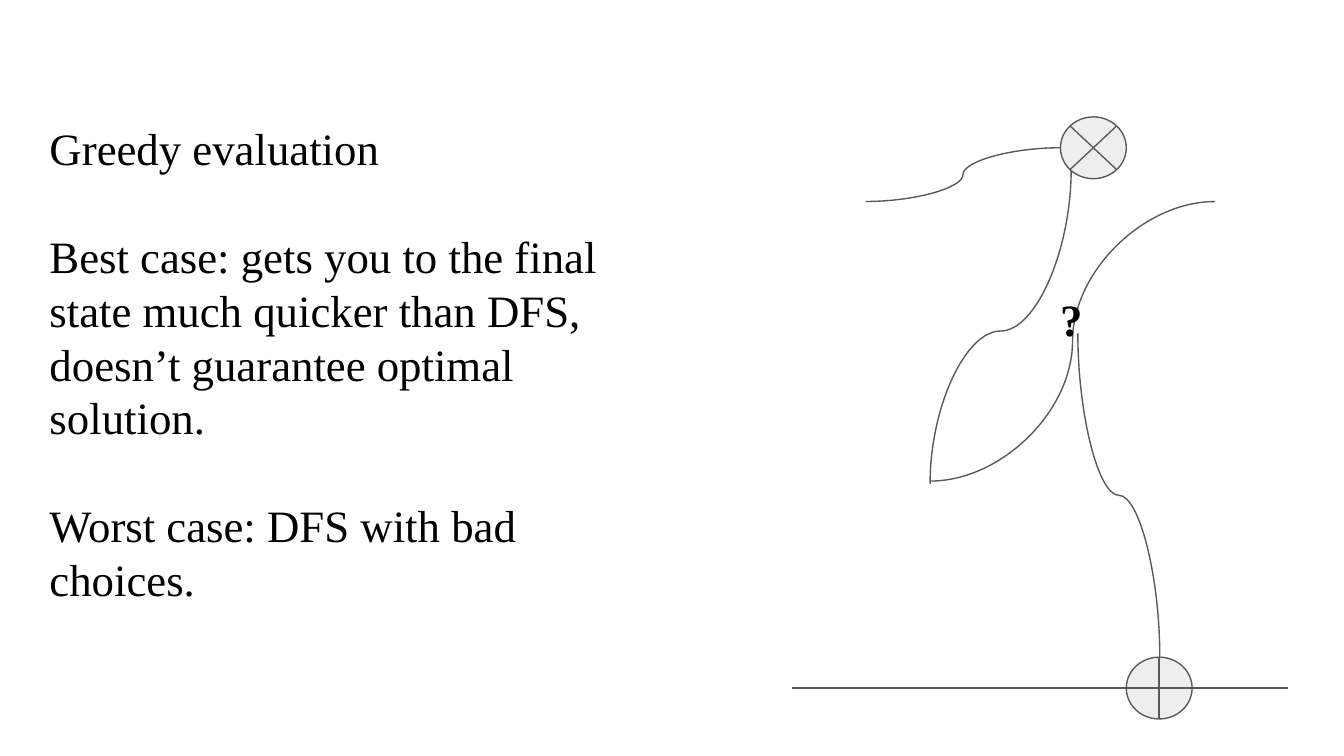
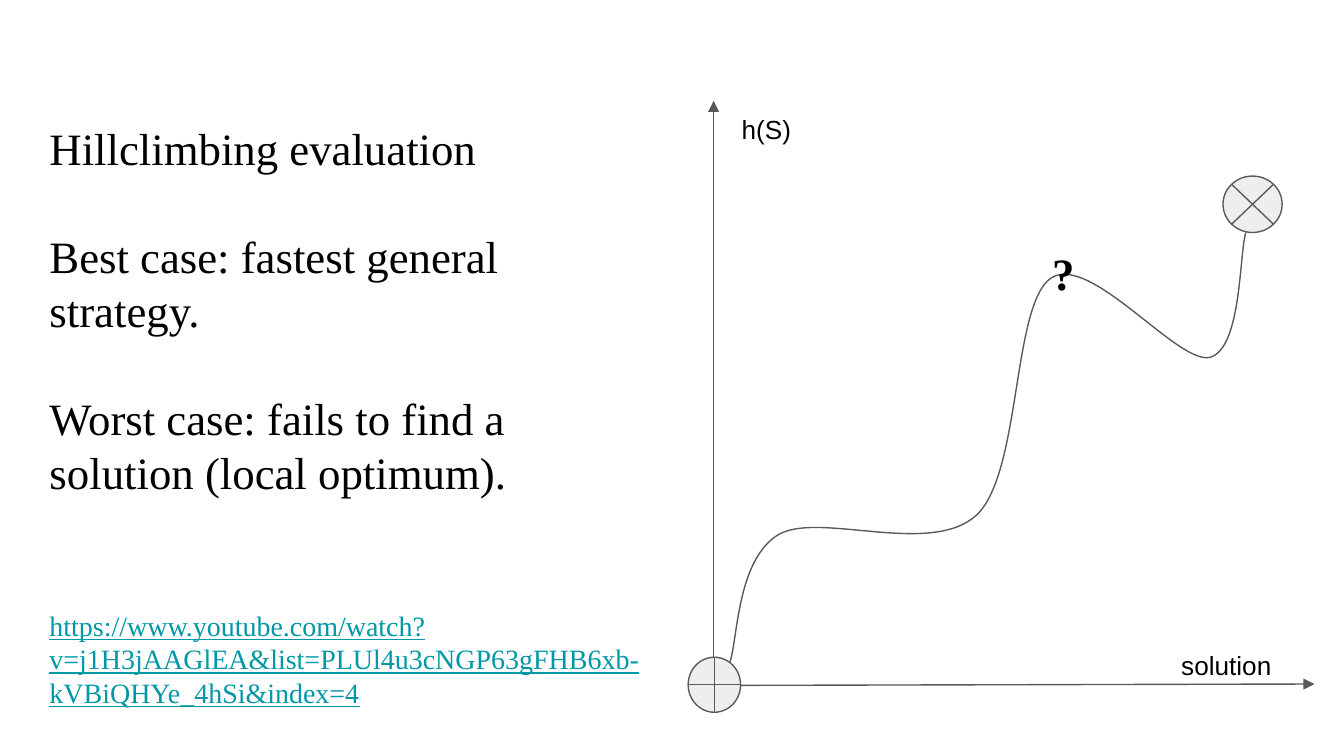
from lxml.etree import SubElement
from pptx import Presentation
from pptx.dml.color import RGBColor
from pptx.enum.shapes import MSO_CONNECTOR, MSO_SHAPE
from pptx.oxml.ns import qn
from pptx.util import Inches, Pt

COLORS = {"text": "000000", "line": "595959", "junction": "EEEEEE", "link": "0097A7"}
SERIF, SANS = "Times New Roman", "Arial"

deck = Presentation()
deck.slide_width = Inches(10)
deck.slide_height = deck.slide_width * 9 // 16
CELL = deck.slide_width // 10  # ten columns, with rows of the same size


def cells(*counts):
    return [round(count * CELL) for count in counts]


def add_text(page, area, paragraphs, font=SERIF, size=24, bold=False):
    """Each paragraph is its text and a dict with any of before, size, color, underline."""
    frame = page.shapes.add_textbox(*cells(*area)).text_frame
    frame.word_wrap = True
    frame.margin_left = frame.margin_right = Inches(0.1)
    frame.margin_top = frame.margin_bottom = Inches(0.1)
    for index, (text, look) in enumerate(paragraphs):
        para = frame.paragraphs[0] if index == 0 else frame.add_paragraph()
        para.line_spacing = 1.0
        para.space_before = Pt(look.get("before", 0))
        span = para.add_run()
        span.text = text
        span.font.name, span.font.bold = font, bold
        span.font.size = Pt(look.get("size", size))
        span.font.underline = look.get("underline", False)
        span.font.color.rgb = RGBColor.from_string(COLORS[look.get("color", "text")])


URL = ("https://www.youtube.com/watch?v=j1H3jAAGlEA"
       "&list=PLUl4u3cNGP63gFHB6xb-kVBiQHYe_4hSi&index=4")
NEXT = {"before": 29}
STRAIGHT, CURVE = MSO_CONNECTOR.STRAIGHT, MSO_CONNECTOR.CURVE

# Connectors: kind, start, end, quarter turns clockwise, bend in percent, arrowhead
slides = [
    {
        "body": [
            ("Greedy evaluation", {}),
            ("Best case: gets you to the final state much quicker than DFS, "
             "doesn’t guarantee optimal solution.", NEXT),
            ("Worst case: DFS with bad choices.", NEXT),
        ],
        "connectors": [
            (CURVE, (8.63, 4.89), (8.02, 2.48), 1, 50, False),
            (STRAIGHT, (5.89, 5.12), (9.58, 5.12), 0, None, False),
            (CURVE, (6.44, 1.5), (7.89, 1.1), 0, 50, False),
            (CURVE, (6.92, 3.6), (7.97, 1.26), -1, 48.6, False),
            (CURVE, (6.92, 3.58), (9.04, 1.5), 0, 50, False),
        ],
        "start": (8.38, 4.89, 0.49, 0.46),
        "goal": (7.89, 0.87, 0.49, 0.46),
        "hill": [],
        "labels": [],
        "question": (7.79, 2.07, 0.37, 0.46),
    },
    {
        "body": [
            ("Hillclimbing evaluation", {}),
            ("Best case: fastest general strategy.", NEXT),
            ("Worst case: fails to find a solution (local optimum).", NEXT),
            (URL, {"before": 59, "size": 15, "color": "link", "underline": True}),
        ],
        "connectors": [
            (STRAIGHT, (5.31, 5.12), (5.31, 0.75), 0, None, True),
            (STRAIGHT, (5.33, 5.1), (9.78, 5.09), 0, None, True),
        ],
        "start": (5.12, 4.89, 0.39, 0.41),
        "goal": (9.1, 1.31, 0.44, 0.42),
        "hill": [
            (5.43, 4.93),
            (5.49, 4.77), (5.48, 4.17), (5.79, 3.98),
            (6.09, 3.8), (6.93, 4.15), (7.27, 3.83),
            (7.6, 3.51), (7.53, 2.27), (7.82, 2.07),
            (8.11, 1.88), (8.76, 2.71), (9, 2.66),
            (9.24, 2.6), (9.22, 1.89), (9.27, 1.73),
        ],
        "labels": [
            ("h(S)", (5.42, 0.74, 0.62, 0.42)),
            ("solution", (8.69, 4.73, 0.92, 0.28)),
        ],
        "question": (7.73, 1.73, 0.37, 0.46),
    },
]

for content in slides:
    page = deck.slides.add_slide(deck.slide_layouts[6])
    add_text(page, (0.27, 0.8, 4.73, 4.72), content["body"])
    outlined = []

    for kind, start, end, turn, bend, arrow in content["connectors"]:
        if turn:
            # Turn the ends back about their middle; the rotation restores them.
            middle_x, middle_y = (start[0] + end[0]) / 2, (start[1] + end[1]) / 2
            start, end = [
                (middle_x + turn * (y - middle_y), middle_y - turn * (x - middle_x))
                for x, y in (start, end)
            ]
        connector = page.shapes.add_connector(kind, *cells(*start, *end))
        properties = connector.element.spPr
        if turn:
            properties.find(qn("a:xfrm")).set("rot", str(turn % 4 * 5400000))
        if bend:
            guides = next(properties.iter(qn("a:avLst")))
            SubElement(guides, qn("a:gd"), name="adj1", fmla=f"val {round(bend * 1000)}")
        connector.line.width = Pt(0.75)
        if arrow:
            SubElement(properties.find(qn("a:ln")), qn("a:tailEnd"), type="triangle")
        SubElement(properties, qn("a:effectLst"))
        outlined.append(connector)

    for kind, area in ((MSO_SHAPE.FLOWCHART_OR, content["start"]),
                       (MSO_SHAPE.FLOWCHART_SUMMING_JUNCTION, content["goal"])):
        junction = page.shapes.add_shape(kind, *cells(*area))
        junction.shadow.inherit = False
        junction.fill.solid()
        junction.fill.fore_color.rgb = RGBColor.from_string(COLORS["junction"])
        outlined.append(junction)

    if content["hill"]:
        first, *others = [cells(*point) for point in content["hill"]]
        builder = page.shapes.build_freeform(*first)
        builder.add_line_segments(others, close=False)
        hill = builder.convert_to_shape()
        hill.shadow.inherit = False
        hill.fill.background()
        # Each three points after the first make one Bézier curve.
        segments = list(hill.element.iter(qn("a:lnTo")))
        for index in range(0, len(segments), 3):
            curve = SubElement(segments[index].getparent(), qn("a:cubicBezTo"))
            for segment in segments[index:index + 3]:
                curve.append(segment[0])
                segment.getparent().remove(segment)
        outlined.append(hill)

    for item in outlined:
        item.line.width = Pt(0.75)
        item.line.color.rgb = RGBColor.from_string(COLORS["line"])

    for text, area in content["labels"]:
        add_text(page, area, [(text, {})], font=SANS, size=14)
    add_text(page, content["question"], [("?", {})], bold=True)

deck.save("out.pptx")
